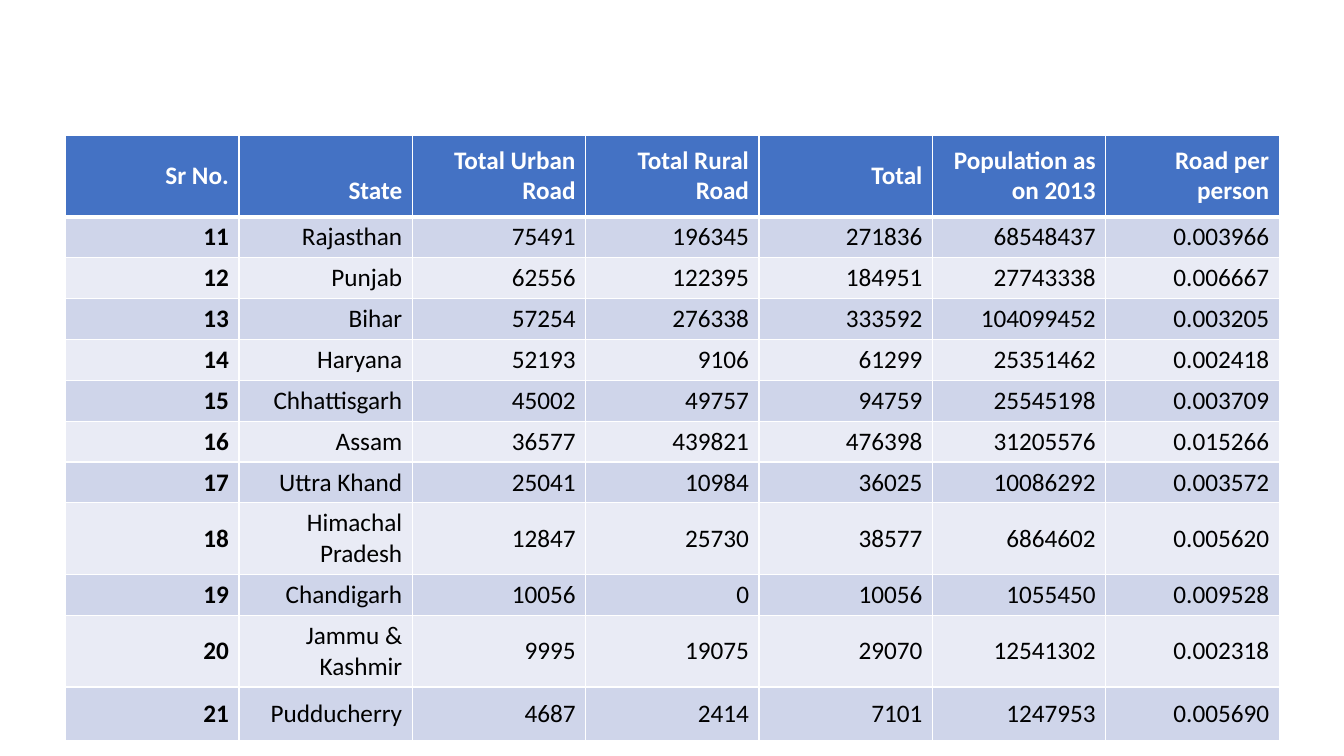
from lxml import etree
from pptx import Presentation
from pptx import util as u
from pptx.dml.color import RGBColor
from pptx.enum import text
from pptx.oxml.ns import qn

HEAD = ("Sr No.", "State", "Total Urban Road", "Total Rural Road", "Total",
        "Population as on 2013", "Road per person")
STATES = [
    ("11", "Rajasthan", "75491", "196345", "271836", "68548437", "0.003966"),
    ("12", "Punjab", "62556", "122395", "184951", "27743338", "0.006667"),
    ("13", "Bihar", "57254", "276338", "333592", "104099452", "0.003205"),
    ("14", "Haryana", "52193", "9106", "61299", "25351462", "0.002418"),
    ("15", "Chhattisgarh", "45002", "49757", "94759", "25545198", "0.003709"),
    ("16", "Assam", "36577", "439821", "476398", "31205576", "0.015266"),
    ("17", "Uttra Khand", "25041", "10984", "36025", "10086292", "0.003572"),
    ("18", "Himachal Pradesh", "12847", "25730", "38577", "6864602", "0.005620"),
    ("19", "Chandigarh", "10056", "0", "10056", "1055450", "0.009528"),
    ("20", "Jammu & Kashmir", "9995", "19075", "29070", "12541302", "0.002318"),
    ("21", "Pudducherry", "4687", "2414", "7101", "1247953", "0.005690"),
]
COLOR = {"head": "4472C4", "odd": "CFD5EA", "even": "E9EBF5",
         "line": "FFFFFF", "light": "FFFFFF", "dark": "000000"}
HIGH = [0.81] + [0.31] * 9 + [0.53] * 2
LEFT, TOP, WIDE = 0.65, 1.34, 12.04
FONT = {"name": "Calibri", "size": u.Pt(18)}


def rgb(name):
    return RGBColor.from_string(COLOR[name])


def edge(cell, row):
    """Draw the four borders, with a thick rule under the heading row."""
    props = cell._tc.get_or_add_tcPr()
    thick = {"T": row == 1, "B": row == 0}
    for spot, side in enumerate("LRTB"):
        line = etree.Element(qn(f"a:ln{side}"), w=str(u.Pt(3 if thick.get(side) else 1)))
        fill = etree.SubElement(line, qn("a:solidFill"))
        etree.SubElement(fill, qn("a:srgbClr"), val=COLOR["line"])
        props.insert(spot, line)


def fill_cell(cell, words, row, col):
    cell.text = words
    cell.vertical_anchor = text.MSO_ANCHOR.MIDDLE
    cell.fill.solid()
    cell.fill.fore_color.rgb = rgb("head" if row == 0 else "odd" if row % 2 else "even")
    para = cell.text_frame.paragraphs[0]
    para.alignment = text.PP_ALIGN.RIGHT
    font = para.runs[0].font
    for key, value in {**FONT, "bold": row == 0 or col == 0}.items():
        setattr(font, key, value)
    font.color.rgb = rgb("dark" if row else "light")
    edge(cell, row)


def main():
    deck = Presentation()
    deck.slide_width, deck.slide_height = u.Inches(13.33), u.Inches(7.5)
    slide = deck.slides.add_slide(deck.slide_layouts[6])
    rows = [HEAD] + STATES
    grid = slide.shapes.add_table(len(rows), len(HEAD), u.Inches(LEFT), u.Inches(TOP),
                                  u.Inches(WIDE), u.Inches(sum(HIGH))).table
    for row, (words, high) in enumerate(zip(rows, HIGH)):
        grid.rows[row].height = u.Inches(high)
        for col, word in enumerate(words):
            fill_cell(grid.cell(row, col), word, row, col)
    # "State" sits level with the second line of the other headings
    grid.cell(0, HEAD.index("State")).margin_top = u.Inches(0.35)
    deck.save("out.pptx")


if __name__ == "__main__":
    main()
